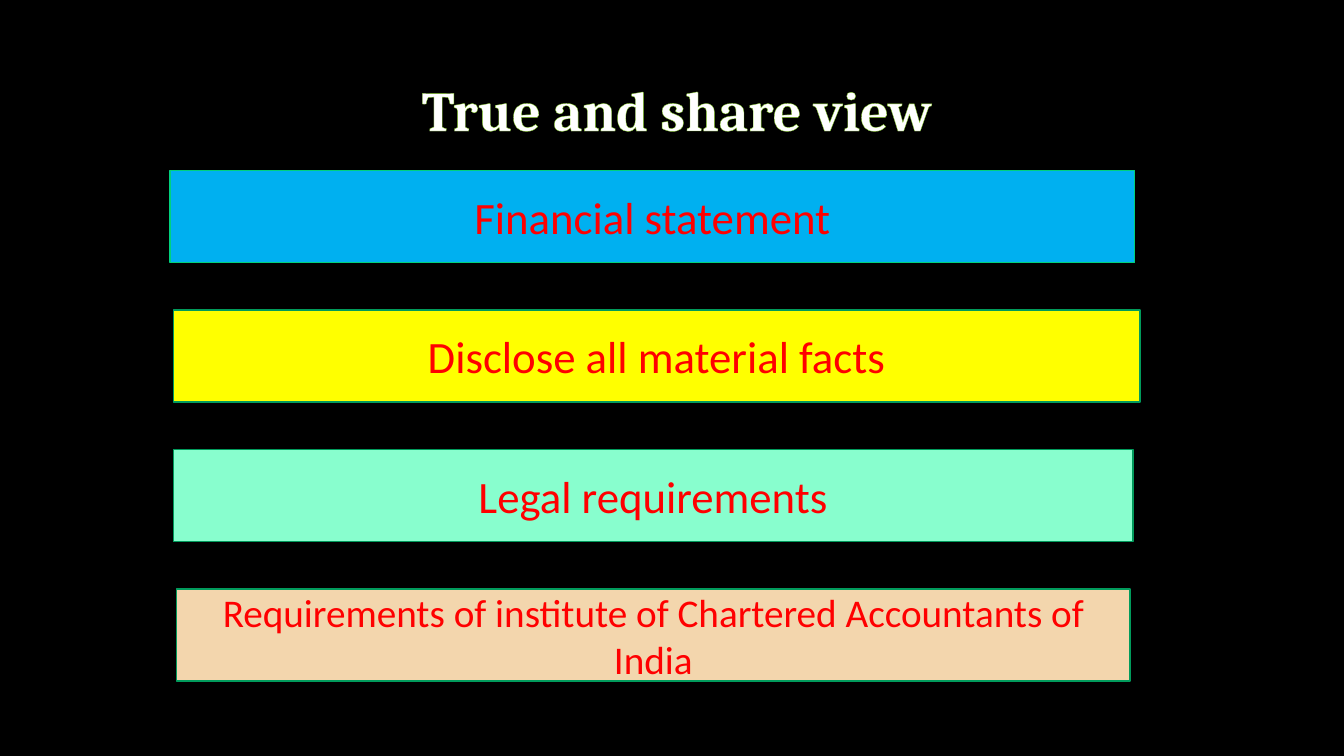
from dataclasses import dataclass

import lxml.etree
import pptx
import pptx.dml.color
import pptx.enum.shapes
import pptx.enum.text
import pptx.oxml.ns
import pptx.util

Cm = pptx.util.Cm
Pt = pptx.util.Pt
RGB = pptx.dml.color.RGBColor.from_string
ALIGN = pptx.enum.text.PP_ALIGN
MIDDLE = pptx.enum.text.MSO_ANCHOR.MIDDLE


@dataclass(frozen=True)
class Theme:
    background: str = "000000"
    title_color: str = "FFFFFF"
    title_outline: str = "84C72A"
    bar_text: str = "FF0000"
    bright_line: str = "01D17D"
    dark_line: str = "019B5C"
    blue: str = "00B0F0"
    yellow: str = "FFFF00"
    mint: str = "88FECE"
    sand: str = "F3D6AD"
    title_font: str = "Cambria"
    body_font: str = "Calibri"
    title_size: int = 40
    bar_size: int = 32
    long_bar_size: int = 28
    line_width: float = 1
    outline_width: float = 0.52


THEME = Theme()

# text, left and width in cm, fill, line, type size
BARS = [
    ("Financial statement", 4.29, 24.31, THEME.blue, THEME.bright_line, THEME.bar_size),
    ("Disclose all material facts", 4.37, 24.36, THEME.yellow, THEME.dark_line, THEME.bar_size),
    ("Legal requirements", 4.37, 24.18, THEME.mint, THEME.dark_line, THEME.bar_size),
    ("Requirements of institute of Chartered Accountants of India",
     4.45, 24.03, THEME.sand, THEME.dark_line, THEME.long_bar_size),
]


def write(sp, text, align, font, size, color):
    """Set one vertically centred paragraph and return its run."""
    tf = sp.text_frame
    tf.word_wrap = True
    tf.vertical_anchor = MIDDLE
    tf.text = text
    p = tf.paragraphs[0]
    p.alignment = align
    r = p.runs[0]
    r.font.name = font
    r.font.size = Pt(size)
    r.font.color.rgb = RGB(color)
    return r


def outline_text(r, color, width):
    qn = pptx.oxml.ns.qn
    ln = lxml.etree.Element(qn("a:ln"), w=str(Pt(width)))
    fill = lxml.etree.SubElement(ln, qn("a:solidFill"))
    lxml.etree.SubElement(fill, qn("a:srgbClr"), val=color)
    r.font._element.insert(0, ln)


def add_title(s, text, left, top, width, height):
    sp = s.shapes.add_textbox(left, top, width, height)
    r = write(sp, text, ALIGN.RIGHT, THEME.title_font, THEME.title_size, THEME.title_color)
    r.font.bold = True
    sp.text_frame.paragraphs[0].line_spacing = 0.9
    outline_text(r, THEME.title_outline, THEME.outline_width)


def add_bar(s, text, left, top, width, height, fill, line, size):
    rect = pptx.enum.shapes.MSO_SHAPE.RECTANGLE
    sp = s.shapes.add_shape(rect, left, top, width, height)
    sp.shadow.inherit = False
    sp.fill.solid()
    sp.fill.fore_color.rgb = RGB(fill)
    sp.line.color.rgb = RGB(line)
    sp.line.width = Pt(THEME.line_width)
    write(sp, text, ALIGN.CENTER, THEME.body_font, size, THEME.bar_text)


def add_bar_stack(s, bars, top, height, bar_height):
    """Spread the bars evenly from the top to the bottom of the stack."""
    pitch = (height - bar_height) // (len(bars) - 1)
    for i, (text, left, width, fill, line, size) in enumerate(bars):
        add_bar(s, text, Cm(left), top + i * pitch, Cm(width), bar_height, fill, line, size)


def main():
    prs = pptx.Presentation()
    prs.slide_width = Cm(33.87)
    prs.slide_height = Cm(19.05)
    s = prs.slides.add_slide(prs.slide_layouts[6])
    s.background.fill.solid()
    s.background.fill.fore_color.rgb = RGB(THEME.background)
    add_title(s, "True and share view", Cm(-0.2), Cm(0.61), Cm(23.93), Cm(4.47))
    add_bar_stack(s, BARS, Cm(4.3), Cm(12.86), Cm(2.32))
    prs.save("out.pptx")


if __name__ == "__main__":
    main()
